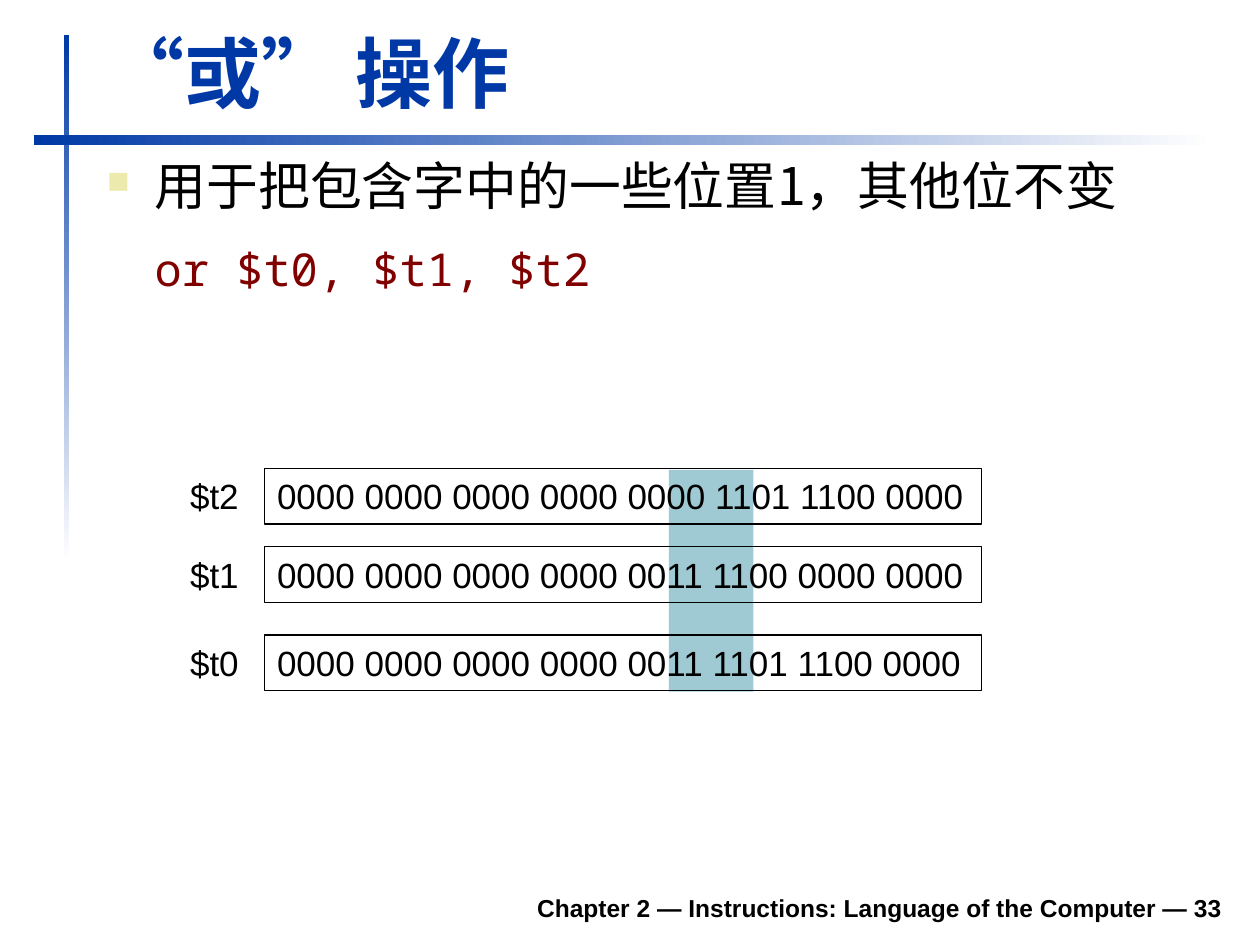
"""Build the slide that explains the bitwise OR operation."""
from lxml.etree import SubElement
from pptx import Presentation
from pptx.dml.color import RGBColor
from pptx.enum.shapes import MSO_SHAPE
from pptx.enum.text import MSO_ANCHOR, MSO_AUTO_SIZE, PP_ALIGN
from pptx.oxml.ns import qn
from pptx.util import Inches, Pt

COLORS = {"blue": "0039A6", "white": "FFFFFF", "black": "000000",
          "code": "800000", "bullet": "ECEAAC", "highlight": "9FCAD3"}
CJK_FONT = "Noto Sans CJK SC"

TITLE = "“或” 操作"
STATEMENT = "用于把包含字中的一些位置1，其他位不变"
CODE = "or $t0, $t1, $t2"
FOOTER = "Chapter 2 — Instructions: Language of the Computer — 33"
REGISTERS = [
    ("$t2", "0000 0000 0000 0000 0000 1101 1100 0000", 3.72),
    ("$t1", "0000 0000 0000 0000 0011 1100 0000 0000", 4.34),
    ("$t0", "0000 0000 0000 0000 0011 1101 1100 0000", 5.04),
]
RULES = [((0.51, 0.28, 0.04, 4.17), 270), ((0.27, 1.07, 9.37, 0.08), 0)]


def color(name):
    return RGBColor.from_string(COLORS[name])


def place(shape, box):
    shape.left, shape.top, shape.width, shape.height = map(Inches, box)


def write(paragraph, text, size=20, font="Arial", ink="black", bold=False,
          align=PP_ALIGN.LEFT):
    run = paragraph.add_run()
    run.text = text
    run.font.size = Pt(size)
    run.font.name = font
    run.font.bold = bold
    run.font.color.rgb = color(ink)
    east_asian = font if font != "Arial" else CJK_FONT
    SubElement(run.font._element, qn("a:ea"), typeface=east_asian)
    paragraph.alignment = align


def add_rectangle(slide, box):
    shape = slide.shapes.add_shape(MSO_SHAPE.RECTANGLE, *map(Inches, box))
    shape.shadow.inherit = False
    shape.line.fill.background()
    return shape


def add_rule(slide, box, angle):
    fill = add_rectangle(slide, box).fill
    fill.gradient()
    fill.gradient_angle = angle
    for stop, position, name in zip(fill.gradient_stops, (0, 1), ("blue", "white")):
        stop.position = position
        stop.color.rgb = color(name)


def add_text_box(slide, box):
    frame = slide.shapes.add_textbox(*map(Inches, box)).text_frame
    frame.word_wrap = True
    return frame


def fit_single_line(frame, text):
    frame.word_wrap = False
    frame.auto_size = MSO_AUTO_SIZE.SHAPE_TO_FIT_TEXT
    frame.vertical_anchor = MSO_ANCHOR.TOP
    write(frame.paragraphs[0], text)


def indent(paragraph, first_line):
    properties = paragraph._p.get_or_add_pPr()
    properties.set("marL", str(Inches(0.38)))
    properties.set("indent", str(Inches(first_line)))
    paragraph.line_spacing = 0.9
    return properties


def add_body(slide):
    frame = add_text_box(slide, (0.75, 1.23, 9.04, 1.73))
    statement, code = frame.paragraphs[0], frame.add_paragraph()
    properties = indent(statement, -0.38)
    bullet_color = SubElement(properties, qn("a:buClr"))
    SubElement(bullet_color, qn("a:srgbClr"), val=COLORS["bullet"])
    SubElement(properties, qn("a:buSzPct"), val="60000")
    SubElement(properties, qn("a:buChar"), char="■")
    write(statement, STATEMENT, size=29.6, font=CJK_FONT)
    indent(code, 0)
    code.space_before, code.space_after = Pt(17.5), Pt(10.5)
    write(code, CODE, size=25.9, font="Noto Sans Mono", ink="code")


def add_register(slide, name, bits, top):
    box = add_rectangle(slide, (2.1, top, 5.69, 0.44))
    box.fill.background()
    box.line.color.rgb = color("black")
    box.line.width = Pt(0.75)
    fit_single_line(box.text_frame, bits)
    fit_single_line(add_text_box(slide, (1.41, top, 0.62, 0.44)), name)


def main():
    presentation = Presentation()
    presentation.slide_width, presentation.slide_height = Inches(10), Inches(7.5)
    slide = presentation.slides.add_slide(presentation.slide_layouts[5])

    for box, angle in RULES:
        add_rule(slide, box, angle)

    title = slide.shapes.title
    place(title, (0.75, 0.16, 9.03, 0.83))
    title.text_frame.vertical_anchor = MSO_ANCHOR.BOTTOM
    title.text_frame.auto_size = MSO_AUTO_SIZE.SHAPE_TO_FIT_TEXT
    write(title.text_frame.paragraphs[0], TITLE, size=44, ink="blue", bold=True)

    add_body(slide)

    highlight = add_rectangle(slide, (5.31, 3.73, 0.67, 1.76))
    highlight.fill.solid()
    highlight.fill.fore_color.rgb = color("highlight")
    for register in REGISTERS:
        add_register(slide, *register)

    footer = add_text_box(slide, (1.85, 6.98, 7.95, 0.39))
    footer.vertical_anchor = MSO_ANCHOR.BOTTOM
    write(footer.paragraphs[0], FOOTER, size=14, bold=True, align=PP_ALIGN.RIGHT)

    presentation.save("out.pptx")


if __name__ == "__main__":
    main()
